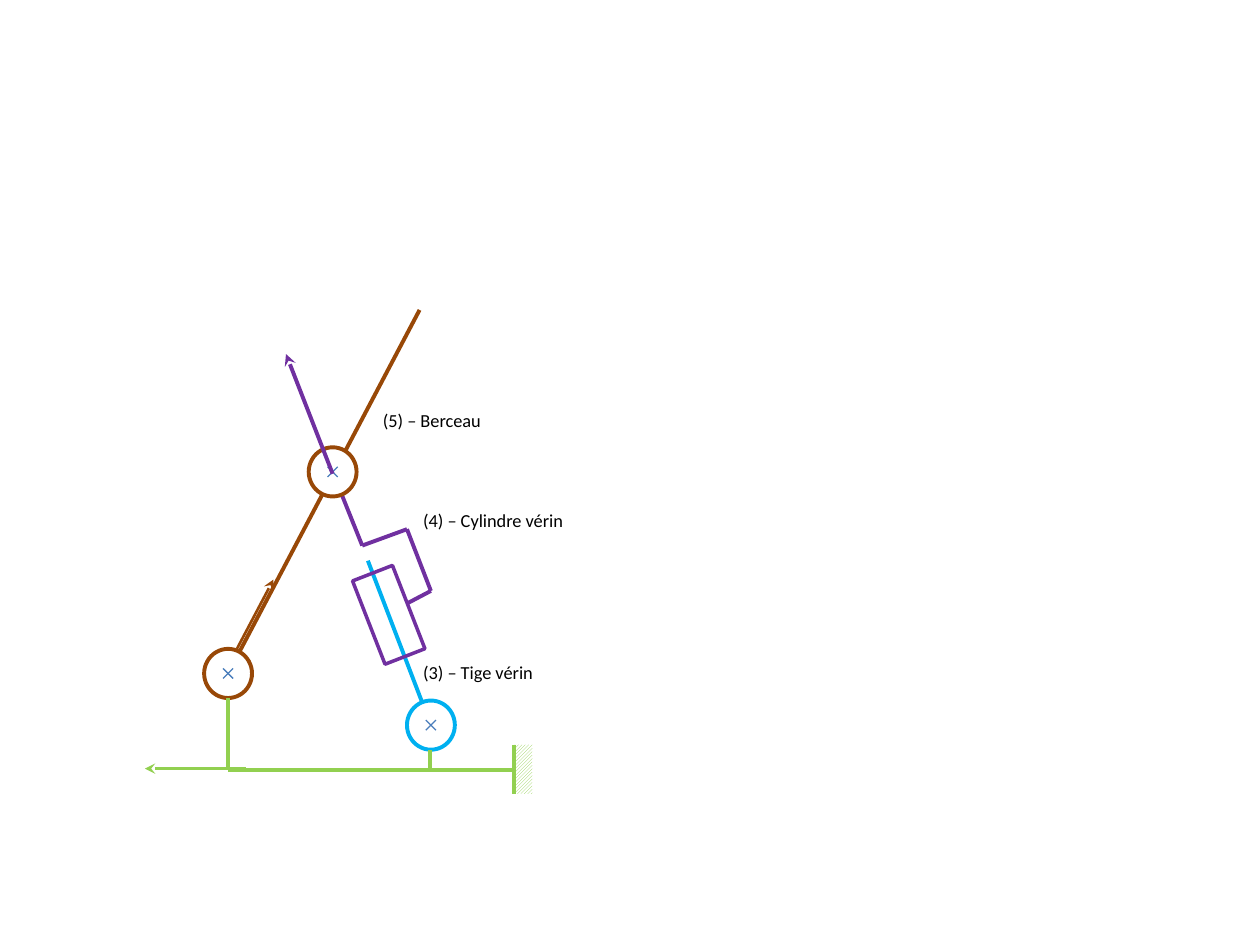
from lxml import etree
from pptx import Presentation
from pptx.dml.color import RGBColor
from pptx.enum.dml import MSO_PATTERN
from pptx.enum.shapes import MSO_CONNECTOR, MSO_SHAPE
from pptx.enum.text import MSO_AUTO_SIZE
from pptx.oxml.ns import qn
from pptx.util import Inches, Pt

STRAIGHT = MSO_CONNECTOR.STRAIGHT
ELLIPSE, RECTANGLE = MSO_SHAPE.OVAL, MSO_SHAPE.RECTANGLE
HATCH = MSO_PATTERN.LIGHT_UPWARD_DIAGONAL

WIDTH, HEIGHT = Inches(10), Inches(7.5)
CELL = WIDTH / 100  # square grid: 100 columns by 75 rows

ROD, CYLINDER, CRADLE = "00B0F0", "7030A0", "984807"
FRAME, CROSS, BLACK, WHITE = "92D050", "4B7EBC", "000000", "FFFFFF"

CRADLE_PIVOT, CYLINDER_PIVOT, ROD_PIVOT = (18.1, 53.45), (26.4, 37.45), (34.2, 57.55)
GROUND_ROW = 61.1


def grid(*cells):
    return [round(cell * CELL) for cell in cells]


def rgb(code):
    return RGBColor.from_string(code)


def add_line(slide, start, end, color, weight=2.25, tip=None):
    """Draw a straight line; tip names the line end at its end point."""
    line = slide.shapes.add_connector(STRAIGHT, *grid(*start, *end))
    line.line.color.rgb = rgb(color)
    line.line.width = Pt(weight)
    if tip:
        outline = line.line._get_or_add_ln()
        etree.SubElement(outline, qn("a:tailEnd"), type=tip)
    etree.SubElement(line._element.spPr, qn("a:effectLst"))


def add_path(slide, points, color):
    for start, end in zip(points, points[1:]):
        add_line(slide, start, end, color)


def add_shape(slide, kind, center, size, rotation=0, fill=None, line=None, weight=2.25):
    (x, y), (width, height) = center, size
    shape = slide.shapes.add_shape(
        kind, *grid(x - width / 2, y - height / 2, width, height))
    shape.shadow.inherit = False
    shape.rotation = rotation
    if fill:
        shape.fill.solid()
        shape.fill.fore_color.rgb = rgb(fill)
    else:
        shape.fill.background()
    if line:
        shape.line.color.rgb = rgb(line)
        shape.line.width = Pt(weight)
    else:
        shape.line.fill.background()
    return shape


def add_pivot(slide, center, color):
    add_shape(slide, ELLIPSE, center, (3.8, 3.9), fill=WHITE, line=color)


def add_cross(slide, center, arm=0.4):
    x, y = center
    for rise in (arm, -arm):
        add_line(slide, (x - arm, y - rise), (x + arm, y + rise), CROSS, 0.75)


def add_ground(slide, center):
    x, y = center
    hatch = add_shape(slide, RECTANGLE, (x + 0.65, y), (3.9, 1.6), rotation=270)
    hatch.fill.patterned()
    hatch.fill.pattern = HATCH
    hatch.fill.fore_color.rgb = rgb(FRAME)
    hatch.fill.back_color.rgb = rgb(WHITE)
    add_line(slide, (x, y + 1.95), (x, y - 1.95), FRAME)


def add_text(slide, text, left, top, size=10.5, color=BLACK, font="Calibri"):
    box = slide.shapes.add_textbox(*grid(left, top, 13.5, 2.8))
    frame = box.text_frame
    frame.word_wrap = True
    frame.auto_size = MSO_AUTO_SIZE.SHAPE_TO_FIT_TEXT
    paragraph = frame.paragraphs[0]
    paragraph.text = text
    paragraph.font.size = Pt(size)
    paragraph.font.name = font
    paragraph.font.color.rgb = rgb(color)


def main():
    presentation = Presentation()
    presentation.slide_width, presentation.slide_height = WIDTH, HEIGHT
    slide = presentation.slides.add_slide(presentation.slide_layouts[6])

    # Rod and cylinder
    add_line(slide, (29.2, 44.5), ROD_PIVOT, ROD, tip="oval")
    add_pivot(slide, ROD_PIVOT, ROD)
    add_shape(slide, RECTANGLE, (30.85, 48.8), (7.1, 3.4), rotation=68.7,
              line=CYLINDER, weight=2)
    add_path(slide, [CYLINDER_PIVOT, (28.75, 43.3), (32.3, 42), (34.2, 46.9),
                     (32.3, 47.9)], CYLINDER)

    # Cradle
    add_line(slide, CRADLE_PIVOT, (33.3, 24.6), CRADLE)
    for pivot in (CRADLE_PIVOT, CYLINDER_PIVOT):
        add_pivot(slide, pivot, CRADLE)

    # Frame
    add_path(slide, [(40.7, GROUND_ROW), (CRADLE_PIVOT[0], GROUND_ROW),
                     (CRADLE_PIVOT[0], 55.4)], FRAME)
    add_line(slide, (34.15, GROUND_ROW), (34.15, 59.5), FRAME)

    for pivot in (ROD_PIVOT, CRADLE_PIVOT, CYLINDER_PIVOT):
        add_cross(slide, pivot)

    for text, left, top in (("(3) – Tige vérin", 32.6, 52),
                            ("(4) – Cylindre vérin", 32.6, 39.9),
                            ("(5) – Berceau", 29.4, 32)):
        add_text(slide, text, left, top)

    # Direction vectors
    add_line(slide, (18.8, 51.5), (21.7, 46), CRADLE, 1.5, tip="stealth")
    add_line(slide, (19.5, 61), (11.5, 61), FRAME, 1.5, tip="stealth")
    add_line(slide, (26.4, 37.6), (22.7, 28.1), CYLINDER, tip="stealth")

    add_ground(slide, (40.8, 61.05))
    presentation.save("out.pptx")


if __name__ == "__main__":
    main()
